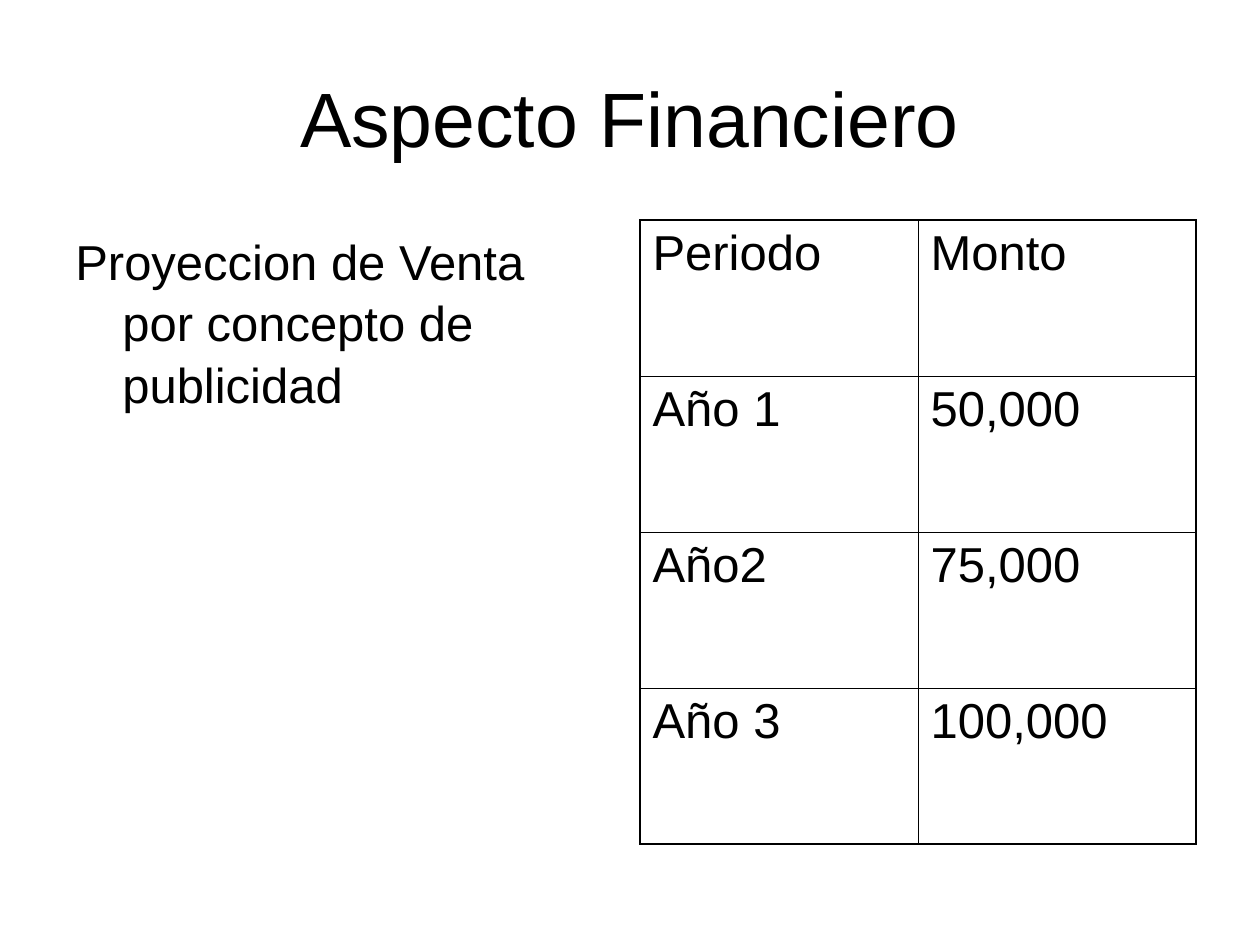
from dataclasses import dataclass

from lxml.etree import SubElement
from pptx import Presentation
from pptx.dml.color import RGBColor
from pptx.enum.text import MSO_ANCHOR, PP_ALIGN
from pptx.oxml.ns import qn
from pptx.util import Emu, Pt

PX_PER_INCH = 126
FONT = "Arial"
BLACK = "000000"
WHITE = "FFFFFF"
BODY_SIZE = 28
OUTER_LINE = 1.08
INNER_LINE = 0.45

ROWS = [
    ("Periodo", "Monto"),
    ("Año 1", "50,000"),
    ("Año2", "75,000"),
    ("Año 3", "100,000"),
]


@dataclass
class Box:
    left: int
    top: int
    width: int
    height: int


@dataclass
class TextBlock:
    box: Box
    text: str
    size: int
    align: PP_ALIGN
    anchor: MSO_ANCHOR
    hanging: int = 0
    line_spacing: float = 1.0


BLOCKS = [
    TextBlock(Box(63, 38, 1134, 157), "Aspecto Financiero", 44,
              PP_ALIGN.CENTER, MSO_ANCHOR.MIDDLE),
    TextBlock(Box(63, 222, 557, 622),
              "Proyeccion de Venta por concepto de publicidad", BODY_SIZE,
              PP_ALIGN.LEFT, MSO_ANCHOR.TOP, hanging=47, line_spacing=1.05),
]
TABLE_BOX = Box(640, 220, 556, 624)


def px(value: int) -> Emu:
    return Emu(round(value * 914400 / PX_PER_INCH))


def color(value: str) -> RGBColor:
    return RGBColor.from_string(value)


def place(box: Box) -> tuple:
    return px(box.left), px(box.top), px(box.width), px(box.height)


def style_paragraph(paragraph, size: int) -> None:
    paragraph.font.name = FONT
    paragraph.font.size = Pt(size)
    paragraph.font.bold = False
    paragraph.font.color.rgb = color(BLACK)


def draw_text(slide, block: TextBlock) -> None:
    frame = slide.shapes.add_textbox(*place(block.box)).text_frame
    frame.word_wrap = True
    frame.vertical_anchor = block.anchor
    paragraph = frame.paragraphs[0]
    paragraph.text = block.text
    paragraph.alignment = block.align
    paragraph.line_spacing = block.line_spacing
    if block.hanging:
        properties = paragraph._p.get_or_add_pPr()
        properties.set("marL", str(px(block.hanging)))
        properties.set("indent", str(-px(block.hanging)))
    style_paragraph(paragraph, block.size)


def draw_borders(cell, outer_sides: dict[str, bool]) -> None:
    properties = cell._tc.get_or_add_tcPr()
    for index, (side, is_outer) in enumerate(outer_sides.items()):
        width = Pt(OUTER_LINE if is_outer else INNER_LINE)
        line = SubElement(properties, qn(f"a:ln{side}"), w=str(int(width)))
        fill = SubElement(line, qn("a:solidFill"))
        SubElement(fill, qn("a:srgbClr"), val=BLACK)
        properties.insert(index, line)


def draw_table(slide, box: Box, rows: list[tuple[str, str]]) -> None:
    last_row, last_column = len(rows) - 1, len(rows[0]) - 1
    table = slide.shapes.add_table(
        len(rows), len(rows[0]), *place(box)).table
    table.first_row = False
    table.horz_banding = False
    for column in table.columns:
        column.width = px(box.width // len(rows[0]))
    for row in table.rows:
        row.height = px(box.height // len(rows))
    for row_index, values in enumerate(rows):
        for column_index, value in enumerate(values):
            cell = table.cell(row_index, column_index)
            cell.text = value
            cell.fill.background()
            style_paragraph(cell.text_frame.paragraphs[0], BODY_SIZE)
            draw_borders(cell, {
                "L": column_index == 0,
                "R": column_index == last_column,
                "T": row_index == 0,
                "B": row_index == last_row,
            })


def main() -> None:
    presentation = Presentation()
    presentation.slide_width = px(1260)
    presentation.slide_height = px(945)
    slide = presentation.slides.add_slide(presentation.slide_layouts[6])
    slide.background.fill.solid()
    slide.background.fill.fore_color.rgb = color(WHITE)
    for block in BLOCKS:
        draw_text(slide, block)
    draw_table(slide, TABLE_BOX, ROWS)
    presentation.save("out.pptx")


if __name__ == "__main__":
    main()
